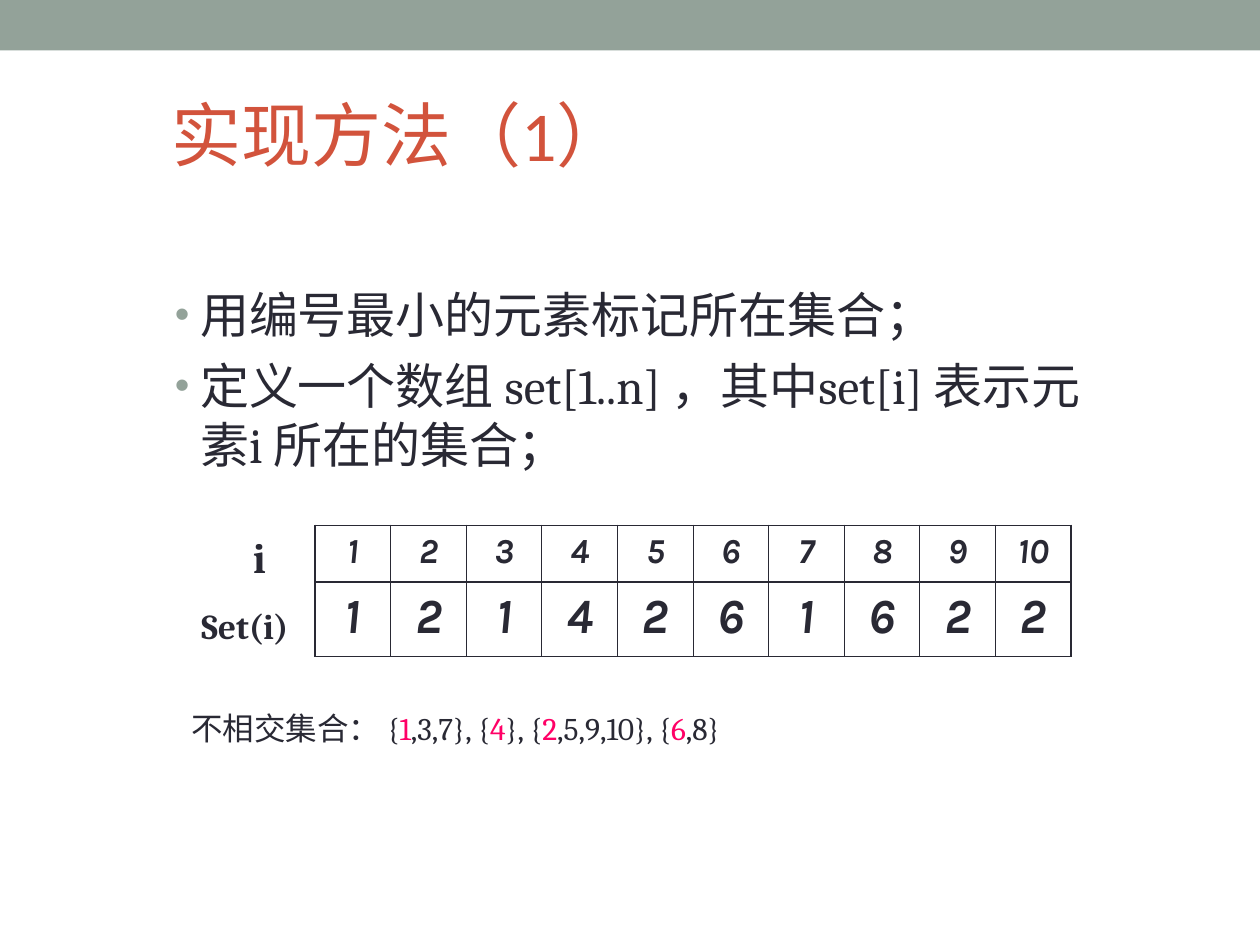
from typing import NamedTuple

from lxml import etree
from pptx import Presentation
from pptx.dml.color import RGBColor
from pptx.enum.shapes import MSO_SHAPE
from pptx.enum.text import MSO_ANCHOR, MSO_AUTO_SIZE, PP_ALIGN
from pptx.oxml.ns import qn
from pptx.util import Inches, Pt

RECTANGLE = MSO_SHAPE.RECTANGLE
MIDDLE = MSO_ANCHOR.MIDDLE
NO_AUTOFIT = MSO_AUTO_SIZE.NONE
GROW = MSO_AUTO_SIZE.SHAPE_TO_FIT_TEXT
LEFT, CENTER = PP_ALIGN.LEFT, PP_ALIGN.CENTER

UNIT = Inches(0.1)
GRID_COLUMNS, GRID_ROWS = 100, 75
SAGE, RUST, INK, PINK = "93A299", "D2533C", "292934", "FF0066"
OUTER_WIDTH, INNER_WIDTH = 1.08, 0.45


class Box(NamedTuple):
    column: float
    row: float
    columns: float
    rows: float

    def lengths(self) -> list[int]:
        return [round(value * UNIT) for value in self]


class Label(NamedTuple):
    box: Box
    runs: list[tuple[str, str]]
    size: int
    bold: bool = False
    wrap: bool = True


class ValueRow(NamedTuple):
    values: list[int]
    rows: float
    size: int


TITLE_BOX = Box(12.6, 2.3, 86.4, 16.6)
BODY_BOX = Box(12.9, 22.1, 76.5, 17.8)
TABLE_BOX = Box(25, 41.7, 60, 10.4)

BULLETS = [
    "用编号最小的元素标记所在集合；",
    "定义一个数组 set[1..n] ，其中set[i] 表示元素i 所在的集合；",
]
VALUE_ROWS = [
    ValueRow(list(range(1, 11)), 4.5, 20),
    ValueRow([1, 2, 1, 4, 2, 6, 1, 6, 2, 2], 5.9, 28),
]
DISJOINT_SETS = [
    ("不相交集合： {", INK), ("1", PINK), (",3,7}, {", INK), ("4", PINK), ("}, {", INK),
    ("2", PINK), (",5,9,10}, {", INK), ("6", PINK), (",8}", INK),
]
LABELS = [
    Label(Box(19.1, 41.7, 3, 5), [("i", INK)], 24, bold=True, wrap=False),
    Label(Box(15, 47.5, 9.2, 4.4), [("Set(i)", INK)], 20, bold=True),
    Label(Box(14.2, 55.8, 75.8, 4), DISJOINT_SETS, 18),
]


def color(value: str) -> RGBColor:
    return RGBColor.from_string(value)


def add_text(paragraph, text: str, *, size: int, font: str = "Cambria", fill: str = INK,
             bold: bool = False, italic: bool = False, align=LEFT) -> None:
    paragraph.alignment = align
    run = paragraph.add_run()
    run.text = text
    run.font.name = font
    run.font.size = Pt(size)
    run.font.bold = bold
    run.font.italic = italic
    run.font.color.rgb = color(fill)


def add_bullet(paragraph) -> None:
    properties = paragraph._p.get_or_add_pPr()
    properties.set("marL", str(Inches(0.2)))
    properties.set("indent", str(-Inches(0.2)))
    bullet_color = etree.SubElement(properties, qn("a:buClr"))
    etree.SubElement(bullet_color, qn("a:srgbClr"), val=SAGE)
    etree.SubElement(properties, qn("a:buSzPct"), val="85000")
    etree.SubElement(properties, qn("a:buFont"), typeface="Arial")
    etree.SubElement(properties, qn("a:buChar"), char="•")


def add_border(cell, side: str, width: float) -> None:
    properties = cell._tc.get_or_add_tcPr()
    line = etree.SubElement(properties, qn(f"a:ln{side}"), w=str(Pt(width)))
    fill = etree.SubElement(line, qn("a:solidFill"))
    etree.SubElement(fill, qn("a:srgbClr"), val=INK)


def draw_bar(slide) -> None:
    bar = slide.shapes.add_shape(RECTANGLE, *Box(0, 0, GRID_COLUMNS, 4).lengths())
    bar.shadow.inherit = False
    bar.fill.solid()
    bar.fill.fore_color.rgb = color(SAGE)
    bar.line.fill.background()


def draw_title(slide, text: str) -> None:
    title = slide.shapes.title
    title.left, title.top, title.width, title.height = TITLE_BOX.lengths()
    frame = title.text_frame
    frame.auto_size = NO_AUTOFIT
    frame.vertical_anchor = MIDDLE
    add_text(frame.paragraphs[0], text, size=40, font="Calibri", fill=RUST)


def draw_bullets(slide) -> None:
    frame = slide.shapes.add_textbox(*BODY_BOX.lengths()).text_frame
    frame.word_wrap = True
    for index, text in enumerate(BULLETS):
        paragraph = frame.add_paragraph() if index else frame.paragraphs[0]
        add_bullet(paragraph)
        if index:
            paragraph.space_before = Pt(7)
        add_text(paragraph, text, size=28)


def draw_table(slide) -> None:
    count = len(VALUE_ROWS[0].values)
    table = slide.shapes.add_table(len(VALUE_ROWS), count, *TABLE_BOX.lengths()).table
    table.first_row = table.horz_banding = False
    for column in table.columns:
        column.width = round(TABLE_BOX.columns / count * UNIT)
    for row_index, value_row in enumerate(VALUE_ROWS):
        table.rows[row_index].height = round(value_row.rows * UNIT)
        for column_index, value in enumerate(value_row.values):
            cell = table.cell(row_index, column_index)
            add_border(cell, "L", INNER_WIDTH if column_index else OUTER_WIDTH)
            add_border(cell, "R", INNER_WIDTH if column_index < count - 1 else OUTER_WIDTH)
            add_border(cell, "T", OUTER_WIDTH)
            add_border(cell, "B", OUTER_WIDTH)
            cell.fill.background()
            add_text(cell.text_frame.paragraphs[0], str(value), size=value_row.size,
                     font="Karla", bold=True, italic=True, align=CENTER)


def draw_label(slide, label: Label) -> None:
    frame = slide.shapes.add_textbox(*label.box.lengths()).text_frame
    frame.word_wrap = label.wrap
    frame.auto_size = GROW
    for text, fill in label.runs:
        add_text(frame.paragraphs[0], text, size=label.size, fill=fill, bold=label.bold)


def main() -> None:
    presentation = Presentation()
    presentation.slide_width = GRID_COLUMNS * UNIT
    presentation.slide_height = GRID_ROWS * UNIT
    slide = presentation.slides.add_slide(presentation.slide_layouts.get_by_name("Title Only"))
    draw_bar(slide)
    draw_title(slide, "实现方法（1）")
    draw_bullets(slide)
    draw_table(slide)
    for label in LABELS:
        draw_label(slide, label)
    presentation.save("out.pptx")


if __name__ == "__main__":
    main()
